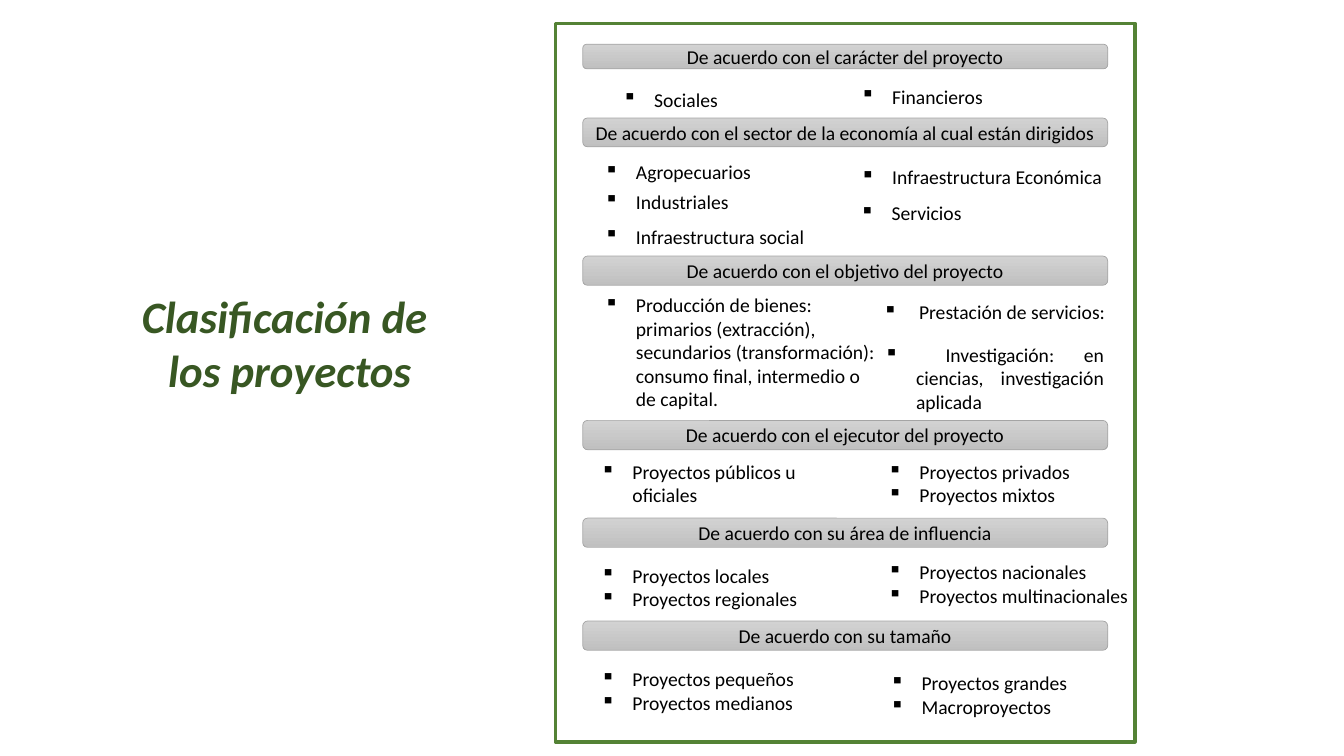
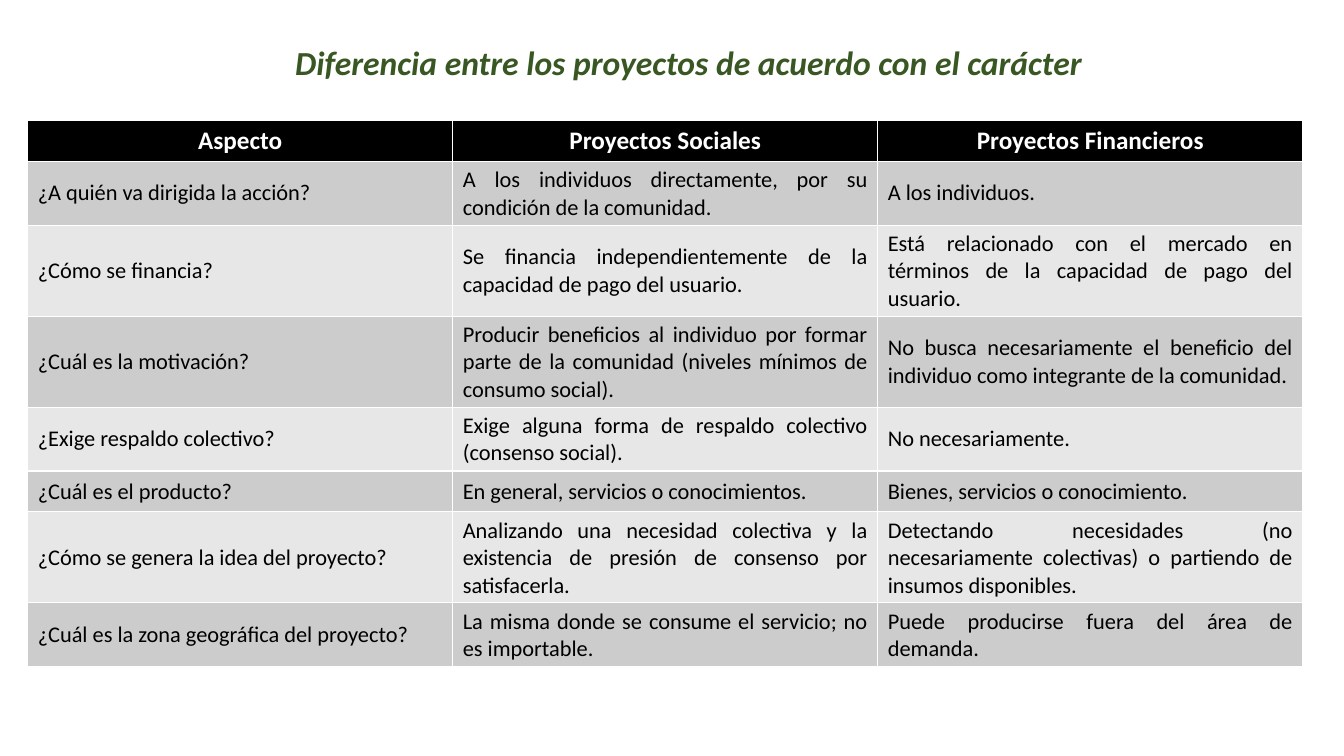
from dataclasses import dataclass

from lxml import etree
from pptx import Presentation
from pptx.dml.color import RGBColor
from pptx.enum.shapes import MSO_SHAPE
from pptx.enum.text import MSO_ANCHOR, PP_ALIGN
from pptx.oxml.ns import qn
from pptx.util import Pt

RECT, ROUNDED = MSO_SHAPE.RECTANGLE, MSO_SHAPE.ROUNDED_RECTANGLE
LEFT, CENTER, JUSTIFY = PP_ALIGN.LEFT, PP_ALIGN.CENTER, PP_ALIGN.JUSTIFY
MIDDLE = MSO_ANCHOR.MIDDLE


@dataclass(frozen=True)
class Theme:
    """Colours, font and type sizes shared by the slides."""
    font: str = "Calibri"
    title: str = "385723"
    frame: str = "548235"
    band_top: str = "D2D2D2"
    band_bottom: str = "C0C0C0"
    band_line: str = "A5A5A5"
    white: str = "FFFFFF"
    black: str = "000000"
    row_dark: str = "CCCCCC"
    row_light: str = "E7E7E7"
    big_title: int = 32
    small_title: int = 24
    header: int = 18
    cell: int = 16
    body: int = 14
    indent: float = 22.5


THEME = Theme()

SECTIONS = [
    (15, 17.5, "De acuerdo con el carácter del proyecto", [
        (41, 27.4, 99, ["Sociales"], LEFT),
        (211, 25.2, 105, ["Financieros"], LEFT)]),
    (67.7, 20.5, "De acuerdo con el sector de la economía al cual están dirigidos", [
        (28, 26.6, 145, ["Agropecuarios"], LEFT),
        (28, 47.5, 145, ["Industriales"], LEFT),
        (28, 72.5, 197, ["Infraestructura social"], LEFT),
        (211, 30.2, 190, ["Infraestructura Económica"], LEFT),
        (210.5, 56, 182, ["Servicios"], LEFT)]),
    (166.3, 20.9, "De acuerdo con el objetivo del proyecto", [
        (28, 23, 210, ["Producción de bienes: primarios (extracción), secundarios "
                       "(transformación): consumo final, intermedio o de capital."], LEFT),
        (227, 28, 179, [" Prestación de servicios:"], LEFT),
        (228, 58.3, 171, [" Investigación: en ciencias, investigación aplicada"], JUSTIFY)]),
    (283.7, 20.9, "De acuerdo con el ejecutor del proyecto", [
        (25.5, 24.5, 171, ["Proyectos públicos u oficiales"], LEFT),
        (230.5, 24.5, 150, ["Proyectos privados", "Proyectos mixtos"], LEFT)]),
    (353.5, 20.9, "De acuerdo con su área de influencia", [
        (25.5, 28.8, 182, ["Proyectos locales", "Proyectos regionales"], LEFT),
        (230.5, 26.6, 190, ["Proyectos nacionales", "Proyectos multinacionales"], LEFT)]),
    (427, 20.9, "De acuerdo con su tamaño", [
        (25.5, 29.5, 176, ["Proyectos pequeños", "Proyectos medianos"], LEFT),
        (232, 32.4, 149, ["Proyectos grandes", "Macroproyectos"], LEFT)]),
]

ASPECTS = [
    (29.2, "Aspecto", "Proyectos Sociales", "Proyectos Financieros"),
    (45.6, "¿A quién va dirigida la acción?",
     "A los individuos directamente, por su condición de la comunidad.",
     "A los individuos."),
    (65, "¿Cómo se financia?",
     "Se financia independientemente de la capacidad de pago del usuario.",
     "Está relacionado con el mercado en términos de la capacidad de pago del usuario."),
    (65, "¿Cuál es la motivación?",
     "Producir beneficios al individuo por formar parte de la comunidad "
     "(niveles mínimos de consumo social).",
     "No busca necesariamente el beneficio del individuo como integrante de la comunidad."),
    (45.6, "¿Exige respaldo colectivo?",
     "Exige alguna forma de respaldo colectivo (consenso social).",
     "No necesariamente."),
    (29.2, "¿Cuál es el producto?",
     "En general, servicios o conocimientos.",
     "Bienes, servicios o conocimiento."),
    (65, "¿Cómo se genera la idea del proyecto?",
     "Analizando una necesidad colectiva y la existencia de presión de consenso por satisfacerla.",
     "Detectando necesidades (no necesariamente colectivas) o partiendo de insumos disponibles."),
    (45.6, "¿Cuál es la zona geográfica del proyecto?",
     "La misma donde se consume el servicio; no es importable.",
     "Puede producirse fuera del área de demanda."),
]


def rgb(value):
    """Turn a hex string into a colour."""
    return RGBColor.from_string(value)


def write(tf, lines, size, color, align=LEFT, bold=False, italic=False):
    """Fill a text frame with one paragraph per line."""
    for i, line in enumerate(lines):
        p = tf.add_paragraph() if i else tf.paragraphs[0]
        p.add_run().text = line
        p.alignment = align
        p.font.name, p.font.size = THEME.font, Pt(size)
        p.font.bold, p.font.italic = bold, italic
        p.font.color.rgb = rgb(color)


def add_text(s, x, y, w, h):
    """Add a wrapping text box and return its text frame."""
    tf = s.shapes.add_textbox(Pt(x), Pt(y), Pt(w), Pt(h)).text_frame
    tf.word_wrap = True
    return tf


def add_title(s, x, y, w, h, lines, size, align):
    """Add a slide title in the shared bold italic style."""
    write(add_text(s, x, y, w, h), lines, size, THEME.title, align, True, True)


def add_bullets(s, x, y, w, lines, align):
    """Add a square-bulleted list."""
    tf = add_text(s, x, y, w, 7.2 + 17.1 * len(lines))
    write(tf, lines, THEME.body, THEME.black, align)
    for p in tf.paragraphs:
        pPr = p._p.get_or_add_pPr()
        pPr.set("marL", str(Pt(THEME.indent)))
        pPr.set("indent", str(-Pt(THEME.indent)))
        bullet = etree.Element(qn("a:buChar"))
        bullet.set("char", "▪")
        pPr.insert(0, bullet)


def add_box(s, kind, x, y, w, h, line, width):
    """Add an outlined shape without shadow."""
    sp = s.shapes.add_shape(kind, Pt(x), Pt(y), Pt(w), Pt(h))
    sp.shadow.inherit = False
    sp.line.color.rgb = rgb(line)
    sp.line.width = Pt(width)
    return sp


def add_band(s, x, y, w, h, text):
    """Add a grey gradient heading band."""
    sp = add_box(s, ROUNDED, x, y, w, h, THEME.band_line, 0.5)
    sp.fill.gradient()
    sp.fill.gradient_angle = 270
    for stop, color in zip(sp.fill.gradient_stops, (THEME.band_top, THEME.band_bottom)):
        stop.color.rgb = rgb(color)
    sp.text_frame.vertical_anchor = MIDDLE
    write(sp.text_frame, [text], THEME.body, THEME.black, CENTER)


def add_classification(s, x, y, w, h):
    """Add the framed panel of headings and bullet lists."""
    frame = add_box(s, RECT, x, y, w, h, THEME.frame, 2.25)
    frame.fill.solid()
    frame.fill.fore_color.rgb = rgb(THEME.white)
    margin = 19.5
    for top, height, heading, lists in SECTIONS:
        add_band(s, x + margin, y + top, w - 2 * margin, height, heading)
        for dx, dy, width, lines, align in lists:
            add_bullets(s, x + dx, y + top + dy, width, lines, align)


def add_comparison(s, x, y, w):
    """Add the table that compares both kinds of project."""
    h = sum(row[0] for row in ASPECTS)
    table = s.shapes.add_table(len(ASPECTS), 3, Pt(x), Pt(y), Pt(w), Pt(h)).table
    for column in table.columns:
        column.width = Pt(w / 3)
    for i, (height, *texts) in enumerate(ASPECTS):
        table.rows[i].height = Pt(height)
        band = THEME.row_dark if i % 2 else THEME.row_light
        for j, text in enumerate(texts):
            cell = table.cell(i, j)
            cell.fill.solid()
            cell.fill.fore_color.rgb = rgb(band if i else THEME.black)
            if i:
                cell.vertical_anchor = MIDDLE
                write(cell.text_frame, [text], THEME.cell, THEME.black, JUSTIFY if j else LEFT)
            else:
                write(cell.text_frame, [text], THEME.header, THEME.white, CENTER, True)


def classification_slide(s):
    """Build the slide that classifies projects."""
    add_classification(s, 396.7, 16.6, 414, 513.4)
    add_title(s, 72.7, 203, 268.6, 85, ["Clasificación de ", "los proyectos"],
              THEME.big_title, CENTER)


def comparison_slide(s):
    """Build the slide that compares projects by character."""
    add_title(s, 203.8, 26.6, 593.3, 36,
              ["Diferencia entre los proyectos de acuerdo con el carácter"],
              THEME.small_title, LEFT)
    add_comparison(s, 19.8, 86, 910.8)


def main():
    """Build and save the presentation."""
    prs = Presentation()
    prs.slide_width, prs.slide_height = Pt(960), Pt(540)
    for build in (classification_slide, comparison_slide):
        build(prs.slides.add_slide(prs.slide_layouts[6]))
    prs.save("out.pptx")


if __name__ == "__main__":
    main()
